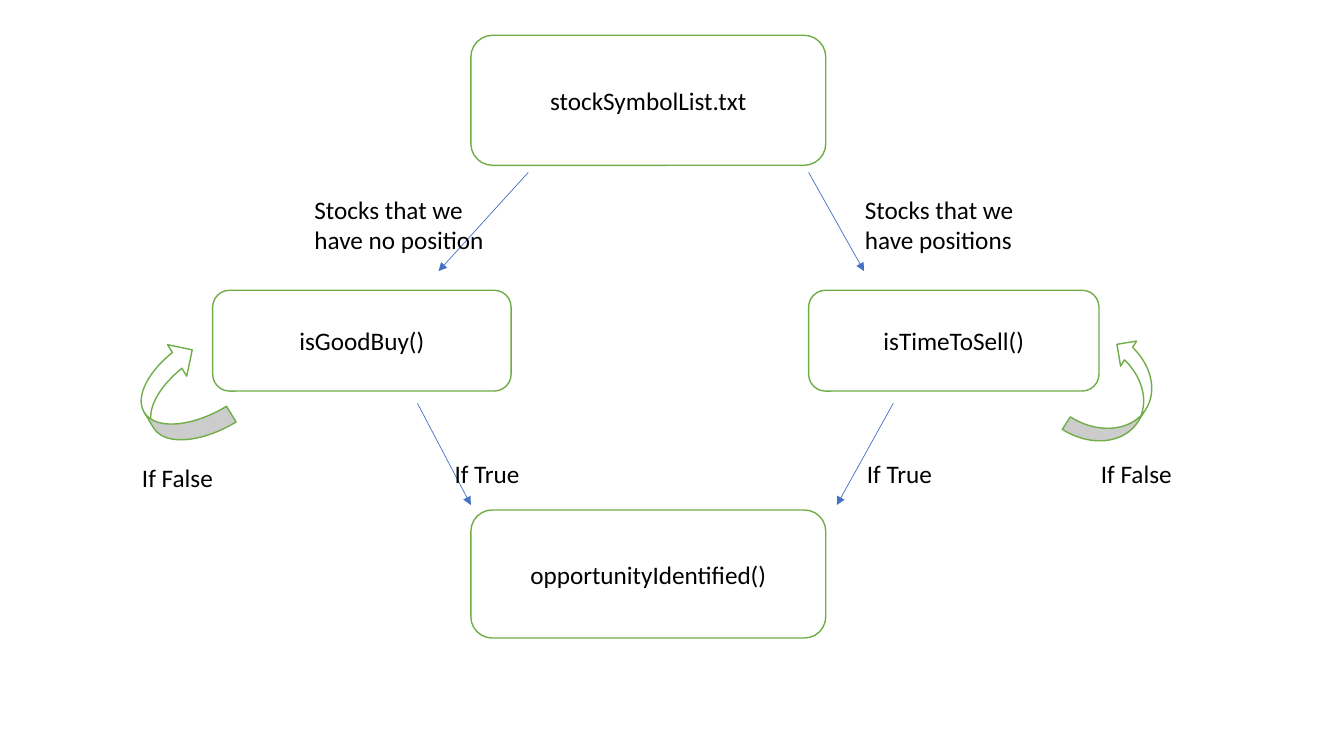
from lxml.etree import SubElement
from pptx import Presentation
from pptx.dml.color import RGBColor
from pptx.enum.shapes import MSO_CONNECTOR, MSO_SHAPE
from pptx.enum.text import MSO_ANCHOR, PP_ALIGN
from pptx.oxml.ns import qn
from pptx.util import Inches, Pt

COLORS = {"paper": "FFFFFF", "edge": "70AD47", "arrow": "4472C4", "ink": "000000"}


def color(name):
    return RGBColor.from_string(COLORS[name])


def write(frame, text, size=18, font="Calibri", ink="ink",
          align=PP_ALIGN.LEFT, anchor=MSO_ANCHOR.TOP, wrap=False):
    frame.word_wrap = wrap
    frame.vertical_anchor = anchor
    frame.text = text
    for para in frame.paragraphs:
        para.alignment = align
        para.font.size = Pt(size)
        para.font.name = font
        para.font.color.rgb = color(ink)


def add_form(slide, kind, box, turn=0):
    form = slide.shapes.add_shape(kind, *map(Inches, box))
    form.shadow.inherit = False
    form.fill.solid()
    form.fill.fore_color.rgb = color("paper")
    form.line.color.rgb = color("edge")
    form.line.width = Pt(1)
    form.rotation = turn
    return form


def add_step(slide, text, box):
    step = add_form(slide, MSO_SHAPE.ROUNDED_RECTANGLE, box)
    write(step.text_frame, text, align=PP_ALIGN.CENTER,
          anchor=MSO_ANCHOR.MIDDLE, wrap=True)


def add_label(slide, text, box):
    label = slide.shapes.add_textbox(*map(Inches, box))
    write(label.text_frame, text)


def add_arrow(slide, start, end):
    arrow = slide.shapes.add_connector(
        MSO_CONNECTOR.STRAIGHT, *map(Inches, start + end))
    arrow.line.color.rgb = color("arrow")
    arrow.line.width = Pt(0.5)
    SubElement(arrow.line._get_or_add_ln(), qn("a:tailEnd"), type="triangle")
    SubElement(arrow._element.spPr, qn("a:effectLst"))


def add_branch(slide, name, box, source, reason, spot, enter, leave, true_at):
    """Draw one check with its incoming and outgoing arrows and their labels."""
    left, top, width, height = box
    base = top + height
    add_step(slide, name, box)
    add_arrow(slide, (source, top - 1.17), (enter, top - 0.19))
    add_arrow(slide, (leave[0], base + 0.12), (leave[1], base + 1.13))
    add_label(slide, reason, (*spot, 1.9, 0.71))
    add_label(slide, "If True", (true_at, base + 0.62, 0.85, 0.4))


def add_loop(slide, kind, box, turn, spot):
    add_form(slide, kind, box, turn)
    add_label(slide, "If False", (*spot, 0.91, 0.4))


def main():
    deck = Presentation()
    deck.slide_width, deck.slide_height = Inches(13.33), Inches(7.5)
    slide = deck.slides.add_slide(deck.slide_layouts[6])

    add_step(slide, "stockSymbolList.txt", (4.67, 0.35, 3.52, 1.29))
    add_step(slide, "opportunityIdentified()", (4.67, 5.06, 3.52, 1.27))
    add_branch(slide, "isGoodBuy()", (2.11, 2.88, 2.96, 1), 5.24,
               "Stocks that we\nhave no position", (3.02, 1.88),
               4.35, (4.14, 4.67), 4.41)
    add_branch(slide, "isTimeToSell()", (8.02, 2.88, 2.88, 1), 8.02,
               "Stocks that we\nhave positions", (8.48, 1.88),
               8.57, (8.86, 8.3), 8.5)
    add_loop(slide, MSO_SHAPE.CURVED_LEFT_ARROW, (1.4, 3.43, 0.73, 1.02),
             148.7, (1.31, 4.54))
    add_loop(slide, MSO_SHAPE.CURVED_UP_ARROW, (10.52, 3.64, 1.15, 0.59),
             302.7, (10.82, 4.5))
    deck.save("out.pptx")


if __name__ == "__main__":
    main()
